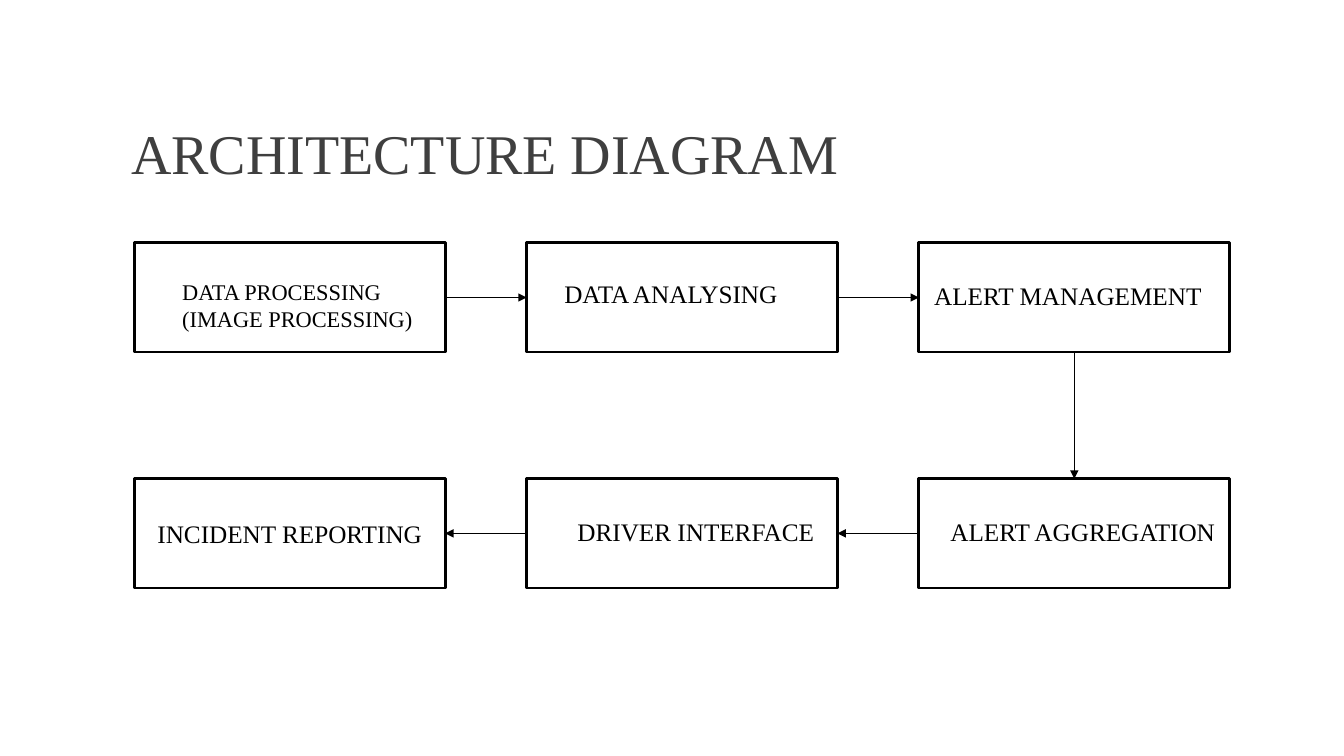
from lxml import etree
from pptx import Presentation
from pptx.dml.color import RGBColor
from pptx.enum.shapes import MSO_CONNECTOR, MSO_SHAPE
from pptx.enum.text import MSO_ANCHOR, MSO_AUTO_SIZE, PP_ALIGN
from pptx.oxml.ns import qn
from pptx.util import Pt

STRAIGHT, RECTANGLE = MSO_CONNECTOR.STRAIGHT, MSO_SHAPE.RECTANGLE
LEFT, CENTER, JUSTIFY = PP_ALIGN.LEFT, PP_ALIGN.CENTER, PP_ALIGN.JUSTIFY
BOTTOM, MIDDLE = MSO_ANCHOR.BOTTOM, MSO_ANCHOR.MIDDLE
FIT_SHAPE, NO_FIT = MSO_AUTO_SIZE.SHAPE_TO_FIT_TEXT, MSO_AUTO_SIZE.NONE

# Content
TITLE = "ARCHITECTURE DIAGRAM"
# Each step in flow order: column, row, text size, alignment, text,
# and the left, top, height of its label (None: text sits in the box)
STEPS = [
    (0, 0, "small", LEFT, "DATA PROCESSING\n(IMAGE PROCESSING)", (123.1, 195.1, 65.5)),
    (1, 0, "label", JUSTIFY, "DATA ANALYSING", (396, 195.1, 29)),
    (2, 0, "label", LEFT, "ALERT MANAGEMENT", (660.2, 196.6, 29)),
    (2, 1, "label", LEFT, "ALERT AGGREGATION", (671.8, 365, 29)),
    (1, 1, "label", LEFT, "DRIVER INTERFACE", (405.4, 365, 29)),
    (0, 1, "label", CENTER, "INCIDENT REPORTING", None),
]

# Theme and grid, in points
THEME = {
    "font": "Times New Roman",
    "title": 40, "label": 18, "small": 16,
    "heading": RGBColor(0x3F, 0x3F, 0x3F),
    "ink": RGBColor(0, 0, 0),
    "paper": RGBColor(0xFF, 0xFF, 0xFF),
    "border": 2, "arrow": 0.75,
}
GRID_LEFT, GRID_TOP = 96, 173.5
BOX_WIDTH, BOX_HEIGHT = 222, 78
COLUMN_PITCH, ROW_PITCH = 280.2, 168.5


def write(frame, text, size, color, align):
    frame.word_wrap = True
    frame.text = text
    for para in frame.paragraphs:
        para.alignment = align
        for span in para.runs:
            span.font.name = THEME["font"]
            span.font.size = Pt(THEME[size])
            span.font.color.rgb = color


def corner(column, row):
    return GRID_LEFT + column * COLUMN_PITCH, GRID_TOP + row * ROW_PITCH


def add_box(page, column, row):
    left, top = corner(column, row)
    box = page.shapes.add_shape(RECTANGLE, Pt(left), Pt(top), Pt(BOX_WIDTH), Pt(BOX_HEIGHT))
    box.shadow.inherit = False
    box.fill.solid()
    box.fill.fore_color.rgb = THEME["paper"]
    box.line.color.rgb = THEME["ink"]
    box.line.width = Pt(THEME["border"])
    return box


def add_arrow(page, start, end):
    # Connection sites of a rectangle: 0 top, 1 left, 2 bottom, 3 right
    (from_box, from_column, from_row), (to_box, to_column, to_row) = start, end
    if from_row != to_row:
        sites = (2, 0)
    elif from_column < to_column:
        sites = (3, 1)
    else:
        sites = (1, 3)
    arrow = page.shapes.add_connector(STRAIGHT, 0, 0, 0, 0)
    arrow.begin_connect(from_box, sites[0])
    arrow.end_connect(to_box, sites[1])
    arrow.line.color.rgb = THEME["ink"]
    arrow.line.width = Pt(THEME["arrow"])
    etree.SubElement(arrow.line._get_or_add_ln(), qn("a:tailEnd"), type="triangle")
    etree.SubElement(arrow._element.spPr, qn("a:effectLst"))


def main():
    deck = Presentation()
    deck.slide_width, deck.slide_height = Pt(960), Pt(540)
    page = deck.slides.add_slide(deck.slide_layouts[5])
    page.background.fill.solid()
    page.background.fill.fore_color.rgb = THEME["paper"]

    # Title
    title = page.shapes.title
    title.left, title.top, title.width, title.height = Pt(86.6), Pt(22.3), Pt(792), Pt(114.5)
    write(title.text_frame, TITLE, "title", THEME["heading"], LEFT)
    title.text_frame.vertical_anchor = BOTTOM
    title.text_frame.auto_size = NO_FIT
    title.text_frame.paragraphs[0].line_spacing = 0.9

    # Boxes
    nodes = [(add_box(page, column, row), column, row) for column, row, *_ in STEPS]

    # Arrows between consecutive steps
    for start, end in zip(nodes, nodes[1:]):
        add_arrow(page, start, end)

    # Labels
    for (box, _, _), (_, _, size, align, text, place) in zip(nodes, STEPS):
        if place is None:
            frame = box.text_frame
            frame.vertical_anchor = MIDDLE
        else:
            left, top, height = place
            label = page.shapes.add_textbox(Pt(left), Pt(top), Pt(BOX_WIDTH), Pt(height))
            frame = label.text_frame
            frame.auto_size = FIT_SHAPE
        write(frame, text, size, THEME["ink"], align)

    deck.save("out.pptx")


if __name__ == "__main__":
    main()
